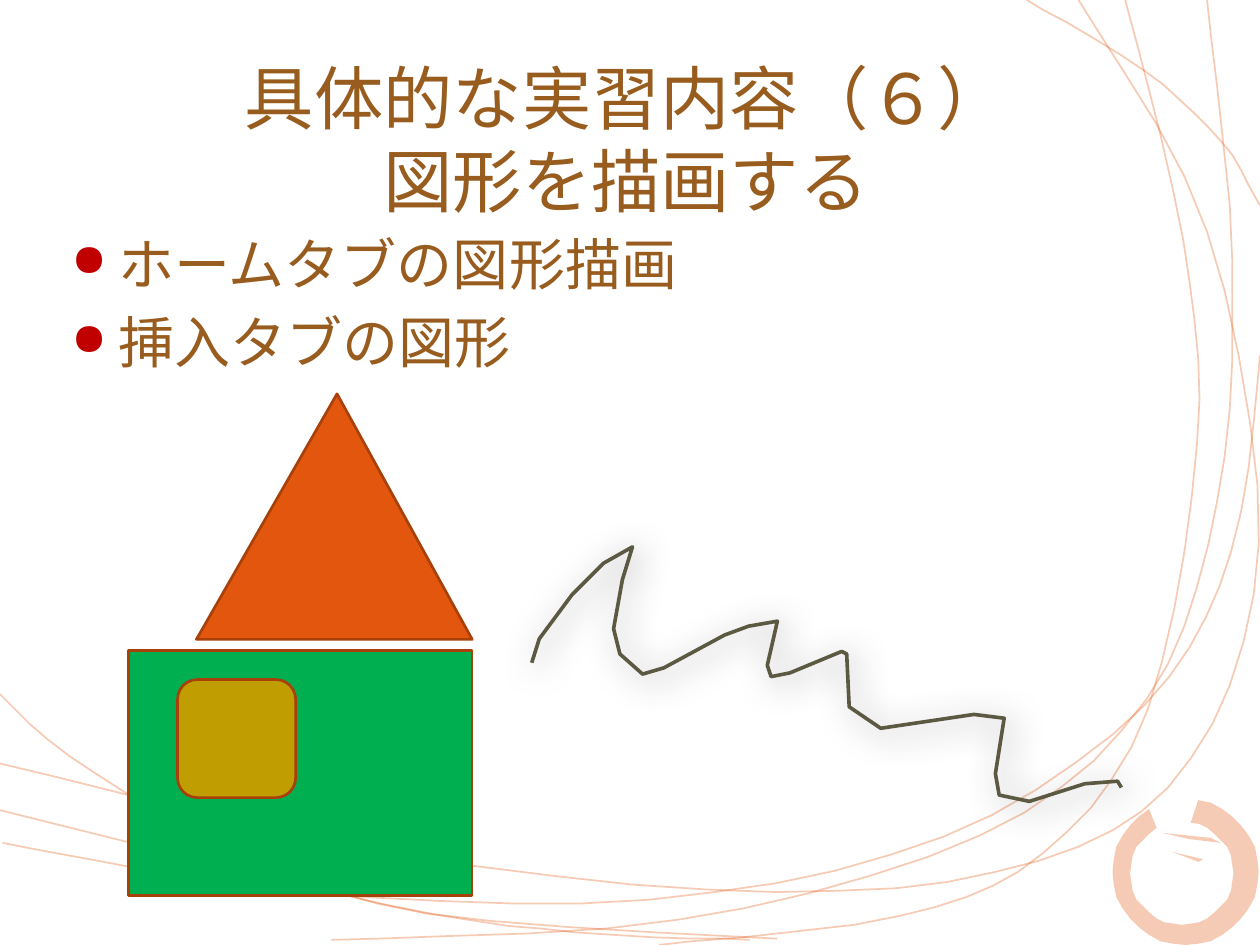
from dataclasses import dataclass
from math import cos, radians, sin

from lxml import etree
from pptx import Presentation
from pptx.dml.color import RGBColor
from pptx.enum.shapes import MSO_SHAPE
from pptx.enum.text import MSO_ANCHOR, PP_ALIGN
from pptx.oxml.ns import qn
from pptx.util import Cm, Pt

RECTANGLE = MSO_SHAPE.RECTANGLE
TRIANGLE = MSO_SHAPE.ISOSCELES_TRIANGLE
ROUNDED = MSO_SHAPE.ROUNDED_RECTANGLE
MIDDLE = MSO_ANCHOR.MIDDLE
TOP = MSO_ANCHOR.TOP
CENTER = PP_ALIGN.CENTER
LEFT = PP_ALIGN.LEFT


@dataclass(frozen=True)
class Theme:
    font: str = "Calibri"
    text: str = "975C1E"
    bullet: str = "C00000"
    accent: str = "E3560E"
    outline: str = "A8400A"
    wall: str = "00B050"
    window: str = "C09D00"
    scribble: str = "5C5943"
    shadow: str = "000000"
    title_size: float = 39.6
    body_size: float = 32
    strand_width: float = 1
    outline_width: float = 1.54
    scribble_width: float = 2.07
    strand_opacity: int = 29
    ring_opacity: int = 30


THEME = Theme()
GRID = Cm(0.0254)
CURVE_STEPS = 5

STRANDS = [
    [(-3, 548), (55, 600), (185, 675), (338, 725), (617, 745)],
    [(523, 750), (714, 727), (828, 677), (911, 563), (950, 352), (939, 190), (893, 0)],
    [(0, 606), (311, 677), (616, 708), (825, 683), (945, 602), (999, 431), (958, 184), (856, 0)],
    [(2, 669), (237, 708), (516, 714), (749, 664), (908, 560), (977, 438), (1000, 282)],
    [(263, 746), (538, 730), (778, 663), (910, 555), (966, 398), (978, 207), (958, 0)],
    [(815, 0), (908, 56), (969, 112), (1000, 163)],
    [(0, 643), (306, 718), (456, 740), (595, 746)],
]

BRUSH_STROKES = [
    [(922, 661), (961, 665), (969, 669), (944, 666)],
    [(930, 676), (955, 682), (951, 684)],
]

SCRIBBLE = [
    (422, 526), (428, 507), (454, 472), (479, 447), (502, 434), (494, 460), (487, 499),
    (492, 519), (510, 535), (527, 530), (575, 504), (594, 497), (617, 493), (609, 528),
    (612, 537), (627, 534), (668, 517), (672, 519), (674, 561), (699, 578), (773, 567),
    (797, 570), (790, 614), (793, 631), (817, 636), (861, 622), (887, 620), (890, 625),
]


def rgb(value):
    return RGBColor.from_string(value)


def add_element(parent, tag, **attributes):
    return etree.SubElement(parent, qn(tag), attributes)


def set_opacity(shape, percent):
    for color in shape.element.spPr.iter(qn("a:srgbClr")):
        add_element(color, "a:alpha", val=str(percent * 1000))


def style_shape(shape, fill=None, line=None, width=0):
    shape.shadow.inherit = False
    for target, color in ((shape.fill, fill), (shape.line.fill, line)):
        if color:
            target.solid()
            target.fore_color.rgb = rgb(color)
        else:
            target.background()
    if line:
        shape.line.width = Pt(width)


def add_outline(slide, points, close=False):
    builder = slide.shapes.build_freeform(*points[0], scale=GRID)
    builder.add_line_segments(points[1:], close=close)
    return builder.convert_to_shape()


def smooth(points):
    padded = [points[0], *points, points[-1]]
    curve = []
    for corners in zip(padded, padded[1:], padded[2:], padded[3:]):
        for step in range(CURVE_STEPS):
            t = step / CURVE_STEPS
            curve.append(tuple(
                b + t / 2 * (c - a + t * (2 * a - 5 * b + 4 * c - d
                                          + t * (3 * b - a - 3 * c + d)))
                for a, b, c, d in zip(*corners)))
    return curve + [points[-1]]


def arc(center_x, center_y, radius, angles):
    return [(center_x + radius * cos(radians(angle)), center_y + radius * sin(radians(angle)))
            for angle in angles]


def add_background(slide):
    for strand in STRANDS:
        shape = add_outline(slide, smooth(strand))
        style_shape(shape, line=THEME.accent, width=THEME.strand_width)
        set_opacity(shape, THEME.strand_opacity)
    angles = range(-80, 241, 10)
    ring = arc(941, 692, 58, angles) + arc(938, 693, 41, reversed(angles))
    for piece in [ring, *BRUSH_STROKES]:
        shape = add_outline(slide, piece, close=True)
        style_shape(shape, fill=THEME.accent)
        set_opacity(shape, THEME.ring_opacity)


def add_bullet(paragraph):
    paragraph.space_before = Pt(THEME.body_size * 0.2)
    properties = paragraph._p.get_or_add_pPr()
    properties.set("marL", str(Cm(0.95)))
    properties.set("indent", str(Cm(-0.95)))
    color = add_element(properties, "a:buClr")
    add_element(color, "a:srgbClr", val=THEME.bullet)
    add_element(properties, "a:buSzPct", val="80000")
    add_element(properties, "a:buChar", char="●")


def add_text(slide, box, lines, size, alignment=LEFT, anchor=TOP, bulleted=False):
    frame = slide.shapes.add_textbox(*map(Cm, box)).text_frame
    frame.word_wrap = True
    frame.vertical_anchor = anchor
    frame.text = "\n".join(lines)
    for paragraph in frame.paragraphs:
        paragraph.alignment = alignment
        if bulleted:
            add_bullet(paragraph)
        paragraph.font.name = THEME.font
        paragraph.font.size = Pt(size)
        paragraph.font.color.rgb = rgb(THEME.text)


def add_house_part(slide, kind, box, fill):
    shape = slide.shapes.add_shape(kind, *map(Cm, box))
    style_shape(shape, fill, THEME.outline, THEME.outline_width)
    return shape


def add_scribble(slide):
    shape = add_outline(slide, SCRIBBLE)
    style_shape(shape, line=THEME.scribble, width=THEME.scribble_width)
    effects = shape.element.spPr.find(qn("a:effectLst"))
    shadow = add_element(effects, "a:outerShdw", blurRad=str(Pt(20)), dist=str(Pt(4)),
                         dir=str(45 * 60000), rotWithShape="0")
    color = add_element(shadow, "a:srgbClr", val=THEME.shadow)
    add_element(color, "a:alpha", val="55000")


def main():
    presentation = Presentation()
    presentation.slide_width, presentation.slide_height = Cm(25.4), Cm(19.05)
    slide = presentation.slides.add_slide(presentation.slide_layouts[6])
    add_background(slide)
    add_text(slide, (1.19, 1.19, 22.86, 3.18), ["具体的な実習内容（６）\v図形を描画する"],
             THEME.title_size, CENTER, MIDDLE)
    add_text(slide, (1.19, 4.5, 22.86, 13.03), ["ホームタブの図形描画", "挿入タブの図形"],
             THEME.body_size, bulleted=True)
    add_house_part(slide, RECTANGLE, (2.59, 13.11, 6.93, 4.95), THEME.wall)
    roof = add_house_part(slide, TRIANGLE, (3.96, 7.94, 5.56, 4.95), THEME.accent)
    roof.adjustments[0] = 0.51
    add_scribble(slide)
    add_house_part(slide, ROUNDED, (3.58, 13.7, 2.38, 2.38), THEME.window)
    presentation.save("out.pptx")


if __name__ == "__main__":
    main()
